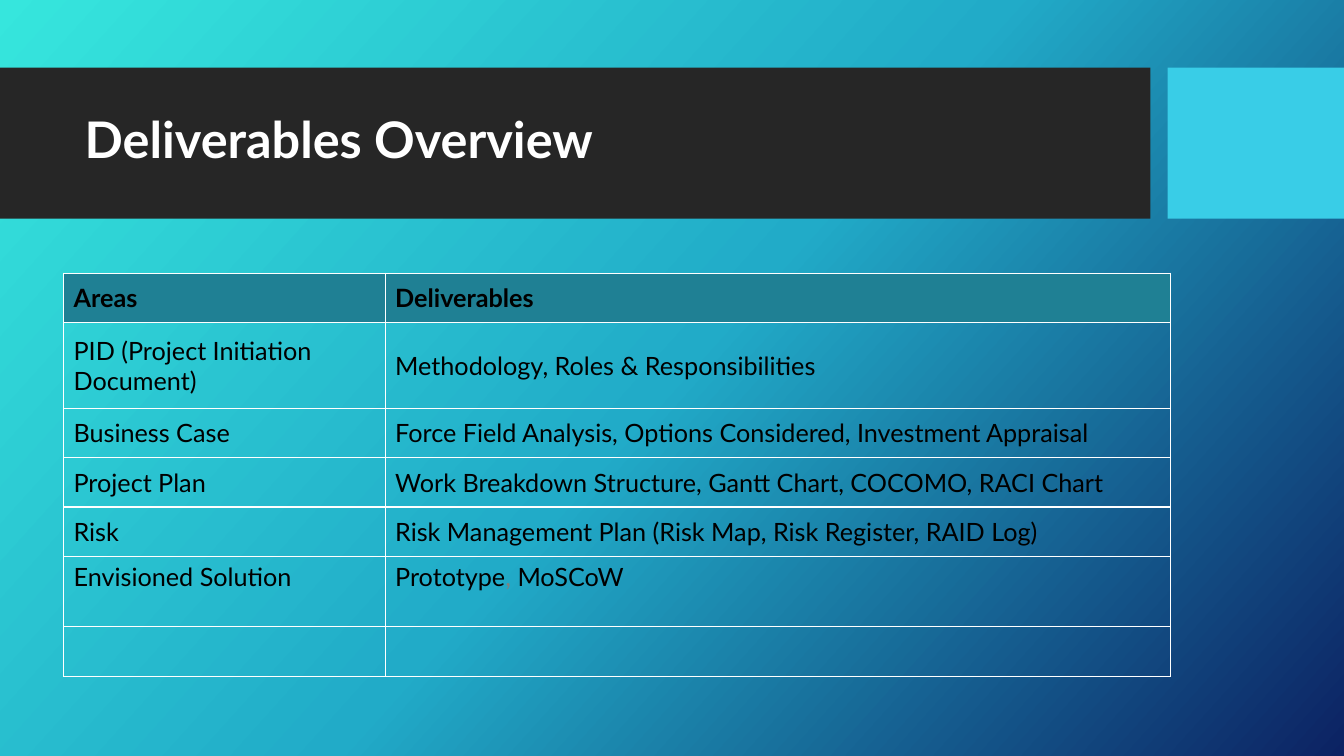
from lxml import etree
from pptx import Presentation
from pptx.dml.color import RGBColor
from pptx.enum.shapes import MSO_SHAPE
from pptx.enum.text import MSO_ANCHOR, MSO_AUTO_SIZE, PP_ALIGN
from pptx.oxml import parse_xml
from pptx.oxml.ns import nsdecls, qn
from pptx.util import Inches, Pt

FONT = "Lato"
COLORS = {
    "bar": "262626",
    "accent": "39CDE7",
    "header": "1F8094",
    "title": "FFFFFF",
    "text": "000000",
    "muted": "808080",
    "border": "FFFFFF",
}
GRADIENT = [(0, "36E6DD"), (50, "21ABC8"), (100, "0C2263")]
GRADIENT_ANGLE = 42

TITLE = "Deliverables Overview"
BARS = [(0, 11.41, "bar"), (11.58, 1.75, "accent")]
BAR_TOP, BAR_HEIGHT = 0.67, 1.5

ROWS = [
    ("Areas", "Deliverables"),
    ("PID (Project Initiation Document)", "Methodology, Roles & Responsibilities"),
    ("Business Case", "Force Field Analysis, Options Considered, Investment Appraisal"),
    ("Project Plan", "Work Breakdown Structure, Gantt Chart, COCOMO, RACI Chart"),
    ("Risk", "Risk Management Plan (Risk Map, Risk Register, RAID Log)"),
    ("Envisioned Solution", [("Prototype", "text"), (", ", "muted"), ("MoSCoW", "text")]),
    ("", ""),
]
COLUMN_WIDTHS = [3.19, 7.79]
ROW_HEIGHTS = [0.49, 0.85, 0.49, 0.49, 0.49, 0.7, 0.49]
SOLUTION_ROW = 5


def color(name):
    return RGBColor.from_string(COLORS[name])


def paint_background(slide):
    fill = slide.background.fill
    fill.gradient()
    gradient = slide.element.find(".//" + qn("a:gradFill"))
    stops = gradient.find(qn("a:gsLst"))
    for stop in list(stops):
        stops.remove(stop)
    for position, value in GRADIENT:
        stop = etree.SubElement(stops, qn("a:gs"), pos=str(position * 1000))
        etree.SubElement(stop, qn("a:srgbClr"), val=value)
    direction = gradient.find(qn("a:lin"))
    direction.set("ang", str(GRADIENT_ANGLE * 60000))
    direction.set("scaled", "0")


def add_bars(slide):
    for left, width, fill in BARS:
        bar = slide.shapes.add_shape(
            MSO_SHAPE.RECTANGLE, Inches(left), Inches(BAR_TOP), Inches(width), Inches(BAR_HEIGHT)
        )
        bar.shadow.inherit = False
        bar.fill.solid()
        bar.fill.fore_color.rgb = color(fill)
        bar.line.fill.background()
        slide.shapes.element.insert(2, bar.element)


def format_title(title):
    title.left, title.top = Inches(0.74), Inches(0.82)
    title.width, title.height = Inches(10.51), Inches(1.18)
    frame = title.text_frame
    frame.text = TITLE
    frame.word_wrap = True
    frame.auto_size = MSO_AUTO_SIZE.NONE
    frame.vertical_anchor = MSO_ANCHOR.MIDDLE
    paragraph = frame.paragraphs[0]
    paragraph.alignment = PP_ALIGN.LEFT
    paragraph.line_spacing = 0.9
    paragraph.font.name = FONT
    paragraph.font.size = Pt(36)
    paragraph.font.bold = True
    paragraph.font.color.rgb = color("title")


def add_borders(cell):
    properties = cell._tc.get_or_add_tcPr()
    for index, side in enumerate(("lnL", "lnR", "lnT", "lnB")):
        border = parse_xml(
            f'<a:{side} {nsdecls("a")} w="{Pt(1)}"><a:solidFill>'
            f'<a:srgbClr val="{COLORS["border"]}"/></a:solidFill></a:{side}>'
        )
        properties.insert(index, border)


def fill_cell(cell, content, is_header):
    if is_header:
        cell.fill.solid()
        cell.fill.fore_color.rgb = color("header")
    else:
        cell.fill.background()
    add_borders(cell)
    paragraph = cell.text_frame.paragraphs[0]
    paragraph.font.name = FONT
    paragraph.font.size = Pt(18)
    paragraph.font.bold = is_header
    paragraph.font.color.rgb = color("text")
    runs = [(content, "text")] if isinstance(content, str) else content
    for text, text_color in runs:
        if text:
            run = paragraph.add_run()
            run.text = text
            run.font.name = FONT
            run.font.size = Pt(18)
            run.font.bold = is_header
            run.font.color.rgb = color(text_color)


def add_deliverables(slide):
    table = slide.shapes.add_table(
        len(ROWS), len(COLUMN_WIDTHS), Inches(0.63), Inches(2.71),
        Inches(sum(COLUMN_WIDTHS)), Inches(sum(ROW_HEIGHTS)),
    ).table
    table.horz_banding = False
    for column, width in zip(table.columns, COLUMN_WIDTHS):
        column.width = Inches(width)
    for row_index, (row, height, contents) in enumerate(zip(table.rows, ROW_HEIGHTS, ROWS)):
        row.height = Inches(height)
        for cell, content in zip(row.cells, contents):
            fill_cell(cell, content, row_index == 0)
            cell.vertical_anchor = MSO_ANCHOR.TOP if row_index == SOLUTION_ROW else MSO_ANCHOR.MIDDLE


def main():
    presentation = Presentation()
    presentation.slide_width, presentation.slide_height = Inches(13.33), Inches(7.5)
    slide = presentation.slides.add_slide(presentation.slide_layouts[5])
    paint_background(slide)
    add_bars(slide)
    format_title(slide.shapes.title)
    add_deliverables(slide)
    presentation.save("out.pptx")


if __name__ == "__main__":
    main()
